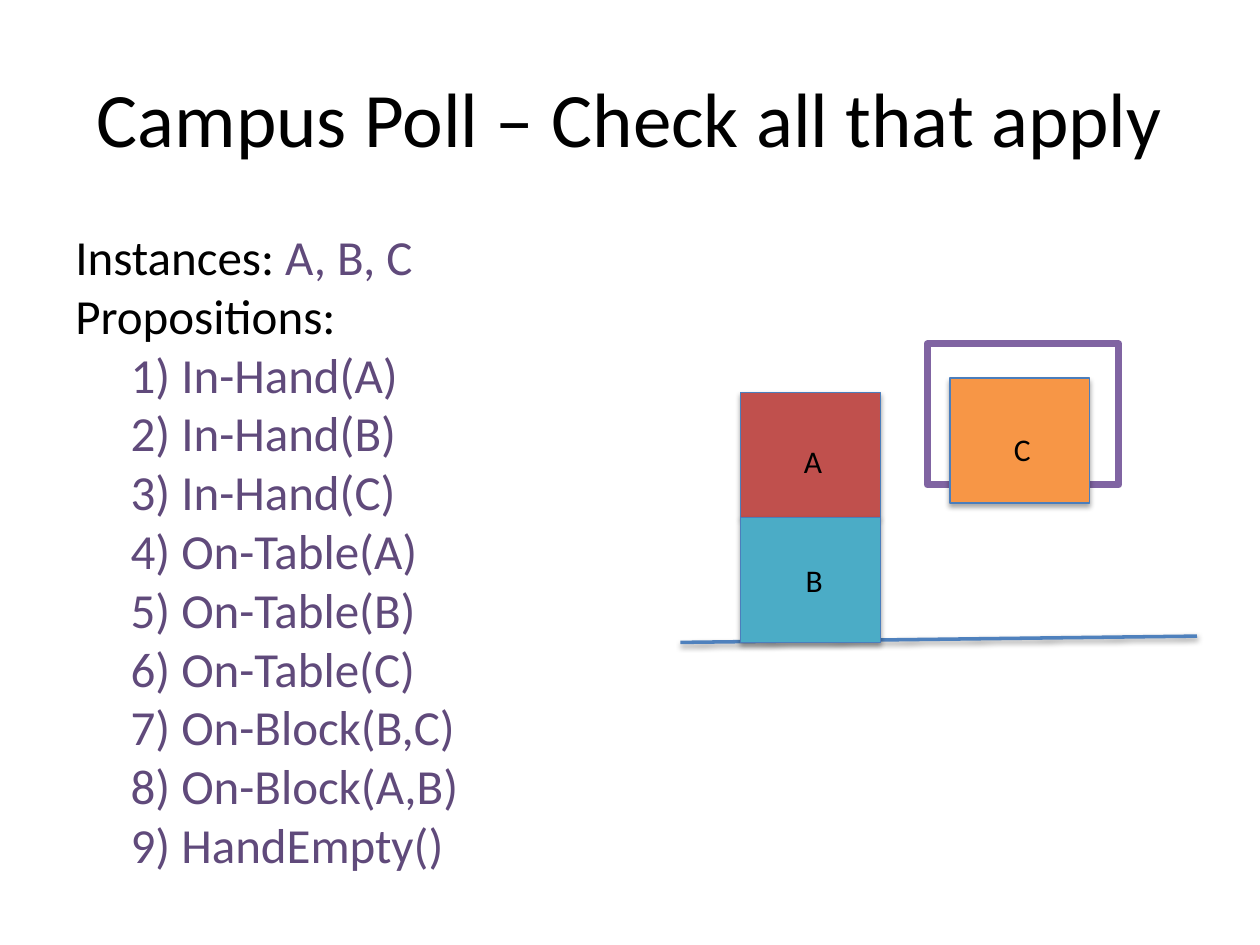
from lxml.etree import SubElement
from pptx import Presentation
from pptx.dml.color import RGBColor
from pptx.enum.shapes import MSO_CONNECTOR, MSO_SHAPE
from pptx.enum.text import MSO_ANCHOR, MSO_AUTO_SIZE, PP_ALIGN
from pptx.oxml.ns import qn
from pptx.util import Pt

BLACK = RGBColor(0x00, 0x00, 0x00)
PURPLE_TEXT = RGBColor(0x60, 0x4A, 0x7B)
HAND = RGBColor(0x80, 0x64, 0xA2)
TABLE = RGBColor(0x4F, 0x81, 0xBD)
EDGE = RGBColor(0x4B, 0x7E, 0xBC)
RED = RGBColor(0xC0, 0x50, 0x4D)
TEAL = RGBColor(0x4B, 0xAC, 0xC6)
ORANGE = RGBColor(0xF7, 0x96, 0x46)

BLOCK_W, BLOCK_H = 80, 71.4
PROPOSITIONS = [
    "In-Hand(A)", "In-Hand(B)", "In-Hand(C)",
    "On-Table(A)", "On-Table(B)", "On-Table(C)",
    "On-Block(B,C)", "On-Block(A,B)", "HandEmpty()",
]


def add_text(shapes, box, lines, size, align=PP_ALIGN.LEFT, anchor=MSO_ANCHOR.TOP,
             wrap=True, spacing=None):
    """Add a text box whose lines are (indent, [(text, colour), ...])."""
    sp = shapes.add_textbox(*map(Pt, box))
    tf = sp.text_frame
    tf.word_wrap = wrap
    tf.vertical_anchor = anchor
    if not wrap:
        tf.auto_size = MSO_AUTO_SIZE.SHAPE_TO_FIT_TEXT
    for i, (indent, runs) in enumerate(lines):
        p = tf.add_paragraph() if i else tf.paragraphs[0]
        p.alignment = align
        if spacing:
            p.line_spacing = Pt(spacing)
        if indent:
            p._p.get_or_add_pPr().set("marL", str(Pt(indent)))
        for text, color in runs:
            r = p.add_run()
            r.text = text
            r.font.name = "Calibri"
            r.font.size = Pt(size)
            r.font.color.rgb = color
    return sp


def add_shadow(sp, alpha, dist):
    """Give a shape or connector a soft black shadow below it."""
    effects = SubElement(sp.element.spPr, qn("a:effectLst"))
    shadow = SubElement(effects, qn("a:outerShdw"), blurRad=str(Pt(3.1)),
                        dist=str(Pt(dist)), dir="5400000", rotWithShape="0")
    color = SubElement(shadow, qn("a:srgbClr"), val=str(BLACK))
    SubElement(color, qn("a:alpha"), val=str(alpha * 1000))


def add_rect(shapes, box, line, width, fill=None):
    """Add a rectangle, hollow unless a fill is given."""
    sp = shapes.add_shape(MSO_SHAPE.RECTANGLE, *map(Pt, box))
    sp.line.color.rgb = line
    sp.line.width = Pt(width)
    if fill is None:
        sp.fill.background()
        sp.shadow.inherit = False
    else:
        sp.fill.solid()
        sp.fill.fore_color.rgb = fill
        add_shadow(sp, 35, 1.8)
    return sp


def add_title(s, box):
    """Place the centred slide title."""
    add_text(s.shapes, box, [(0, [("Campus Poll – Check all that apply", BLACK)])], 44,
             align=PP_ALIGN.CENTER, anchor=MSO_ANCHOR.MIDDLE)


def add_propositions(s, box):
    """Place the instances and the numbered propositions in two columns."""
    lines = [(0, [("Instances: ", BLACK), ("A, B, C", PURPLE_TEXT)]),
             (0, [("Propositions:", BLACK)])]
    lines += [(31.6, [(f"{n}) {name}", PURPLE_TEXT)])
              for n, name in enumerate(PROPOSITIONS, 1)]
    sp = add_text(s.shapes, box, lines, 28, spacing=33.6)
    sp.element.txBody.bodyPr.set("numCol", "2")


def add_block_world(s, box):
    """Draw the table, the stacked blocks and the hand holding a block."""
    x, y, w, h = box
    shapes = s.shapes.add_group_shape().shapes
    table = shapes.add_connector(MSO_CONNECTOR.STRAIGHT, Pt(x), Pt(y + h),
                                 Pt(x + w), Pt(y + h - 3.6))
    table.line.color.rgb = TABLE
    table.line.width = Pt(2)
    add_shadow(table, 38, 1.6)

    stack_x, stack_y = x + 34.5, y + h - 2 * BLOCK_H
    held_x, held_y = x + 154, y + 19.5
    add_rect(shapes, (stack_x, stack_y, BLOCK_W, BLOCK_H), EDGE, 0.75, RED)
    add_rect(shapes, (stack_x, stack_y + BLOCK_H, BLOCK_W, BLOCK_H), EDGE, 0.75, TEAL)
    add_rect(shapes, (x + 141, y, 109.5, 80.6), HAND, 4)
    add_rect(shapes, (held_x, held_y, BLOCK_W, BLOCK_H), EDGE, 0.75, ORANGE)

    labels = [("A", stack_x + 29, stack_y + 25),
              ("B", stack_x + 30, stack_y + BLOCK_H + 21.5),
              ("C", held_x + 29.5, held_y + 26)]
    for name, left, top in labels:
        add_text(s.shapes, (left, top, 24.8, 29), [(0, [(name, BLACK)])], 18, wrap=False)


def main():
    """Build and save the slide."""
    prs = Presentation()
    prs.slide_width, prs.slide_height = Pt(720), Pt(540)
    s = prs.slides.add_slide(prs.slide_layouts[6])
    add_title(s, (36, 21.6, 648, 90))
    add_propositions(s, (36, 126, 648, 391))
    add_block_world(s, (388.8, 196.5, 295.2, 170.6))
    prs.save("out.pptx")


if __name__ == "__main__":
    main()
